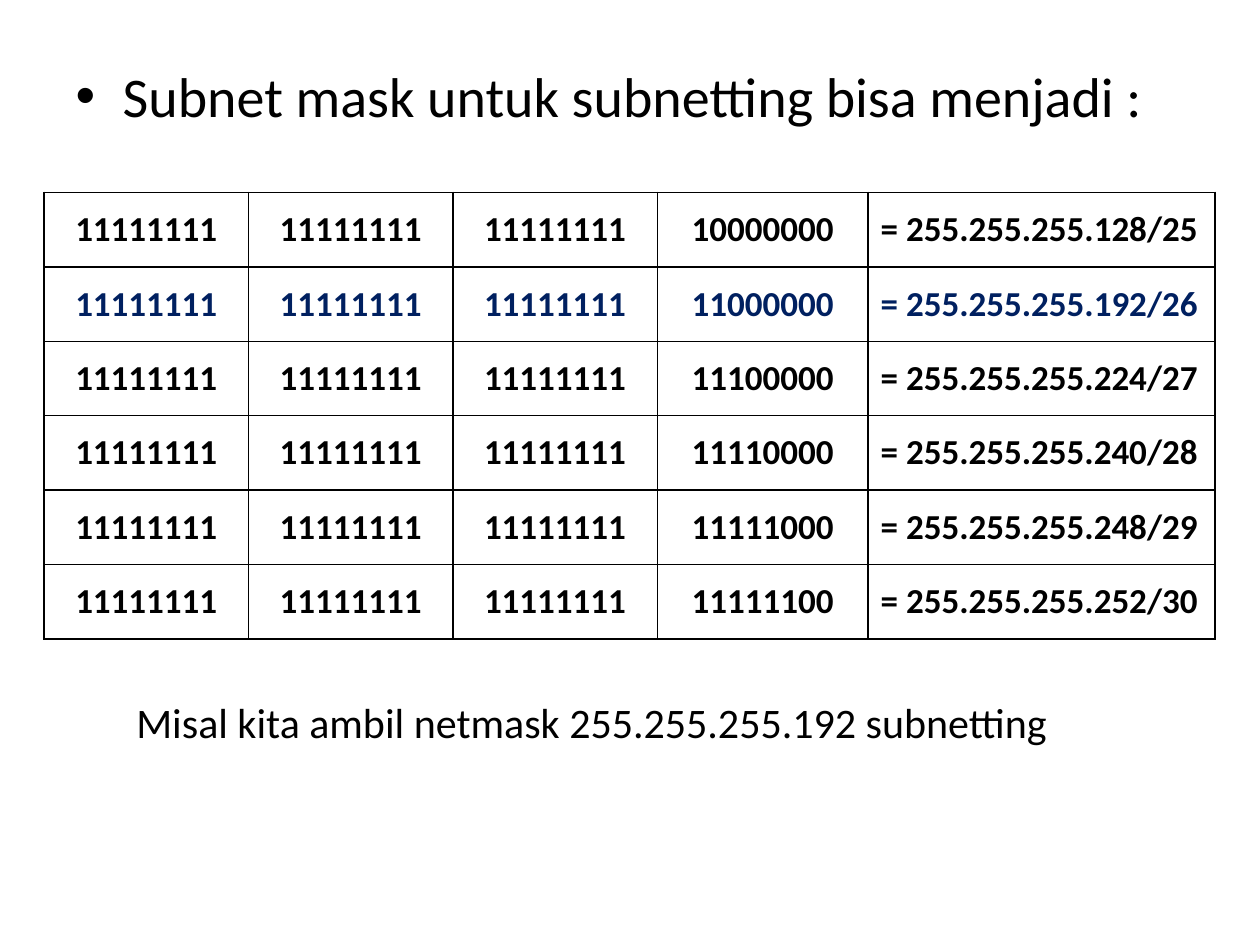
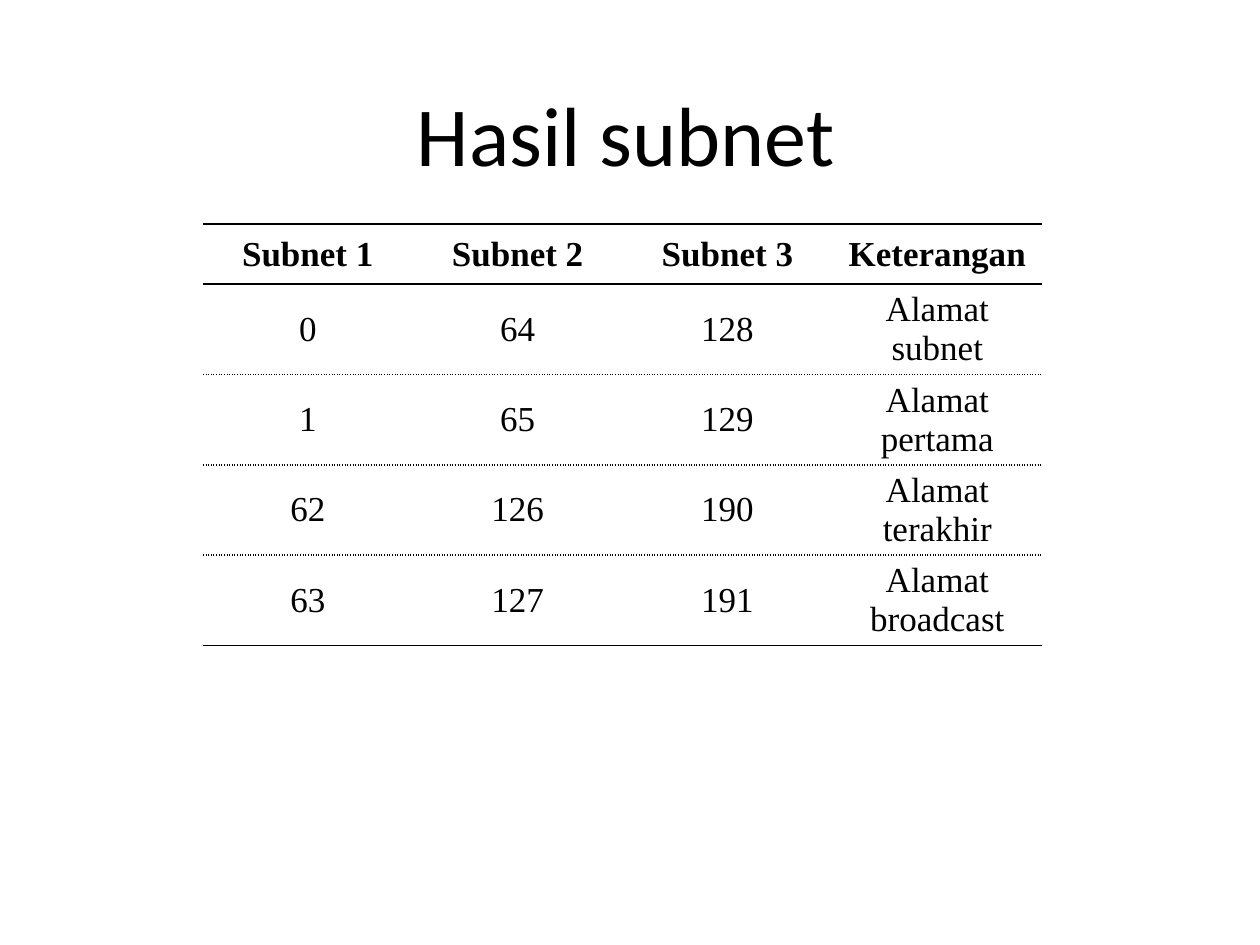
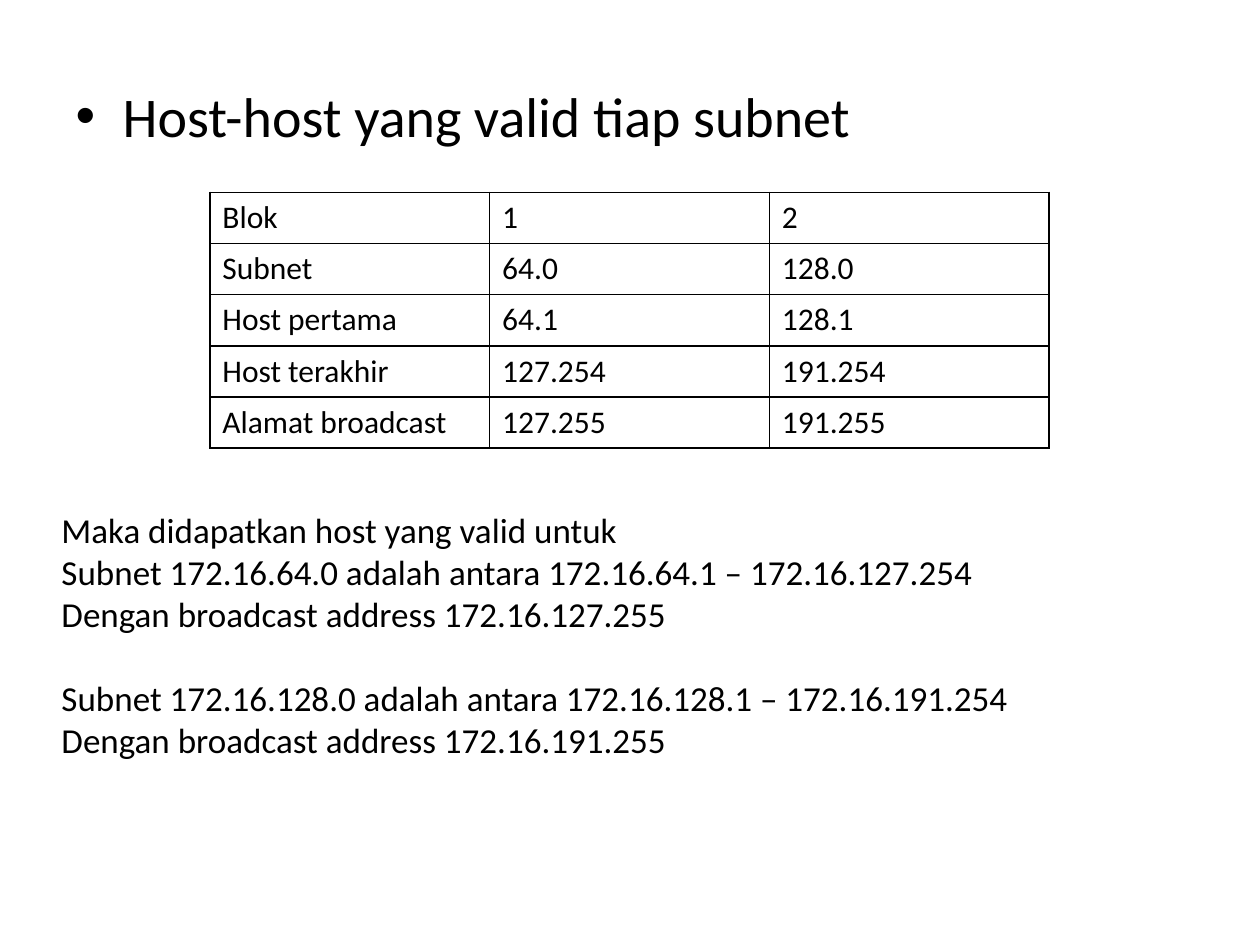
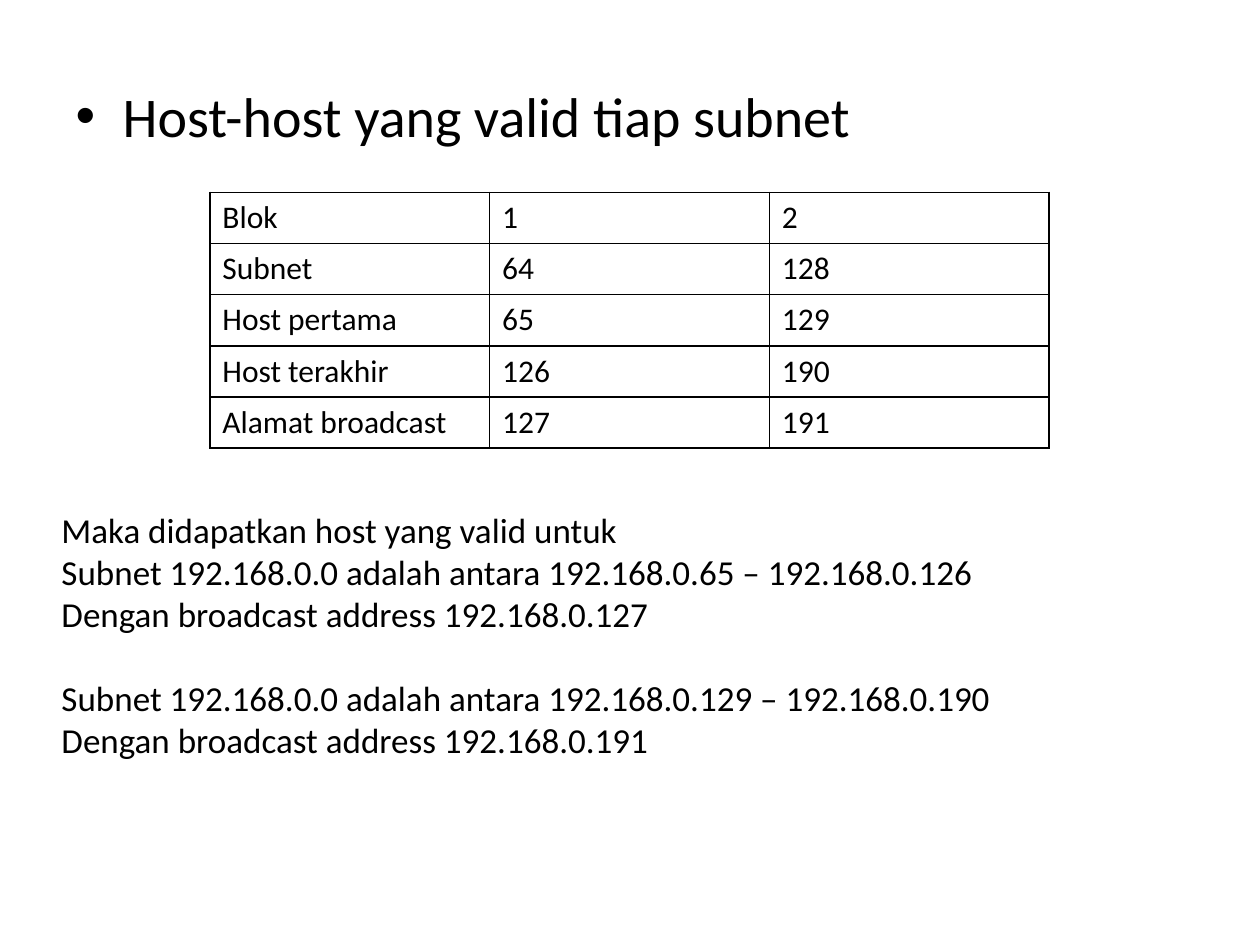
from pptx import Presentation, util as u
from pptx.dml.color import RGBColor
from pptx.enum import text
from pptx.oxml.xmlchemy import OxmlElement

COLORS = {"ink": "000000", "highlight": "002060"}
SANS, SERIF = "Calibri", "Times New Roman"
TITLE_ONLY = 5
BORDER_TAGS = {"left": "a:lnL", "right": "a:lnR", "top": "a:lnT", "bottom": "a:lnB"}
FULL_GRID = dict.fromkeys(BORDER_TAGS, "solid")


def add_child(parent, tag, **attributes):
    child = OxmlElement(tag)
    for name, value in attributes.items():
        child.set(name, str(value))
    parent.append(child)
    return child


def format_runs(paragraph, size, font=SANS, color="ink", bold=False):
    for run in paragraph.runs:
        run.font.size = u.Pt(size)
        run.font.name = font
        run.font.bold = bold
        run.font.color.rgb = RGBColor.from_string(COLORS[color])


def box(left, top, width, height):
    return tuple(u.Cm(length) for length in (left, top, width, height))


def place(shape, area):
    shape.left, shape.top, shape.width, shape.height = area


def add_slide(deck, title, area, size):
    slide = deck.slides.add_slide(deck.slide_layouts[TITLE_ONLY])
    heading = slide.shapes.title
    place(heading, area)
    heading.text_frame.text = title
    heading.text_frame.auto_size = text.MSO_AUTO_SIZE.NONE
    format_runs(heading.text_frame.paragraphs[0], size)
    return slide


def add_bulleted_slide(deck, title, top):
    slide = add_slide(deck, title, box(1.27, top, 22.86, 1.8), 32)
    frame = slide.shapes.title.text_frame
    frame.vertical_anchor = text.MSO_ANCHOR.TOP
    line = frame.paragraphs[0]
    line.alignment = text.PP_ALIGN.LEFT
    properties = line._p.get_or_add_pPr()
    properties.set("marL", str(u.Cm(0.95)))
    properties.set("indent", str(u.Cm(-0.95)))
    add_child(properties, "a:buFont", typeface="Arial")
    add_child(properties, "a:buChar", char="•")
    return slide


def set_borders(cell, styles):
    """Draw the sides named in styles with that dash; leave the others open."""
    properties = cell._tc.get_or_add_tcPr()
    for side, tag in BORDER_TAGS.items():
        line = add_child(properties, tag, w=u.Pt(1))
        if side in styles:
            fill = add_child(line, "a:solidFill")
            add_child(fill, "a:srgbClr", val=COLORS["ink"])
            add_child(line, "a:prstDash", val=styles[side])
        else:
            add_child(line, "a:noFill")


def add_grid(slide, left, top, widths, heights, rows, style_cell):
    """Add a plain table; style_cell(cell, row, column) formats each cell."""
    area = box(left, top, sum(widths), sum(heights))
    table = slide.shapes.add_table(len(rows), len(widths), *area).table
    table.first_row = table.horz_banding = False
    for column, width in zip(table.columns, widths):
        column.width = u.Cm(width)
    for row, height in zip(table.rows, heights):
        row.height = u.Cm(height)
    for r, values in enumerate(rows):
        for c, value in enumerate(values):
            cell = table.cell(r, c)
            cell.text_frame.text = value
            style_cell(cell, r, c)
            cell.fill.background()


def add_note(slide, area, lines, size, gap_before=()):
    """Add lines of text; those numbered in gap_before start a new group."""
    frame = slide.shapes.add_textbox(*area).text_frame
    frame.word_wrap = False
    frame.auto_size = text.MSO_AUTO_SIZE.SHAPE_TO_FIT_TEXT
    for number, line in enumerate(lines):
        paragraph = frame.add_paragraph() if number else frame.paragraphs[0]
        paragraph.text = line
        if number in gap_before:
            paragraph.space_before = u.Pt(size * 1.2)
        format_runs(paragraph, size)


def build_mask_slide(deck):
    slide = add_bulleted_slide(deck, "Subnet mask untuk subnetting bisa menjadi :", 1.12)
    rows = []
    for bits in range(1, 7):
        octet = "1" * bits + "0" * (8 - bits)
        mask = f"= 255.255.255.{int(octet, 2)}/{24 + bits}"
        rows.append(["1" * 8] * 3 + [octet, mask])
    chosen_row, mask_column = 1, 4

    def style_cell(cell, row, column):
        cell.vertical_anchor = text.MSO_ANCHOR.MIDDLE
        paragraph = cell.text_frame.paragraphs[0]
        if column != mask_column:
            paragraph.alignment = text.PP_ALIGN.CENTER
        format_runs(paragraph, 20, bold=True,
                    color="highlight" if row == chosen_row else "ink")
        set_borders(cell, FULL_GRID)

    add_grid(slide, 0.89, 3.88, [4.12] * 3 + [4.25, 6.99], [1.5] * 6, rows, style_cell)
    add_note(slide, box(2.5, 13.92, 19.05, 1.27),
             ["Misal kita ambil netmask 255.255.255.192 subnetting"], 24)


def build_result_slide(deck):
    slide = add_slide(deck, "Hasil subnet", box(8.1, 1.52, 9.02, 2.31), 48)
    rows = [["Subnet 1", "Subnet 2", "Subnet 3", "Keterangan"]]
    for host, label in [(0, "subnet"), (1, "pertama"), (62, "terakhir"), (63, "broadcast")]:
        rows.append([str(host + start) for start in (0, 64, 128)] + [f"Alamat {label}"])
    last = len(rows) - 1

    def style_cell(cell, row, column):
        cell.vertical_anchor = text.MSO_ANCHOR.MIDDLE
        paragraph = cell.text_frame.paragraphs[0]
        paragraph.alignment = text.PP_ALIGN.CENTER
        format_runs(paragraph, 20, SERIF, bold=row == 0)
        set_borders(cell, {"top": "solid" if row <= 1 else "sysDot",
                           "bottom": "solid" if row in (0, last) else "sysDot"})

    add_grid(slide, 4.09, 4.52, [4.23] * 4, [1.21] + [1.82] * last, rows, style_cell)


def build_host_slide(deck, network, blocks):
    """Each block lists its subnet, first host, last host and broadcast, as in
    the table, and then the subnet named in the text."""
    slide = add_bulleted_slide(deck, "Host-host yang valid tiap subnet", 1.52)
    labels = ["Blok", "Subnet", "Host pertama", "Host terakhir", "Alamat broadcast"]
    columns = [[str(n), *block[:4]] for n, block in enumerate(blocks, 1)]
    rows = list(zip(labels, *columns))

    def style_cell(cell, row, column):
        format_runs(cell.text_frame.paragraphs[0], 18)
        set_borders(cell, FULL_GRID)

    add_grid(slide, 4.23, 3.88, [5.64] * 3, [1.03] * 5, rows, style_cell)
    lines = ["Maka didapatkan host yang valid untuk"]
    for _, first, last, broadcast, subnet in blocks:
        lines += [f"Subnet {network}.{subnet} adalah antara "
                  f"{network}.{first} – {network}.{last}",
                  f"Dengan broadcast address {network}.{broadcast}"]
    add_note(slide, box(0.99, 10.13, 19.9, 5.38), lines, 20, gap_before=(3,))


def main():
    deck = Presentation()
    deck.slide_width, deck.slide_height = u.Cm(25.4), u.Cm(19.05)
    build_mask_slide(deck)
    build_result_slide(deck)
    build_host_slide(deck, "172.16", [
        ("64.0", "64.1", "127.254", "127.255", "64.0"),
        ("128.0", "128.1", "191.254", "191.255", "128.0"),
    ])
    build_host_slide(deck, "192.168.0", [
        ("64", "65", "126", "127", "0"),
        ("128", "129", "190", "191", "0"),
    ])
    deck.save("out.pptx")


if __name__ == "__main__":
    main()
